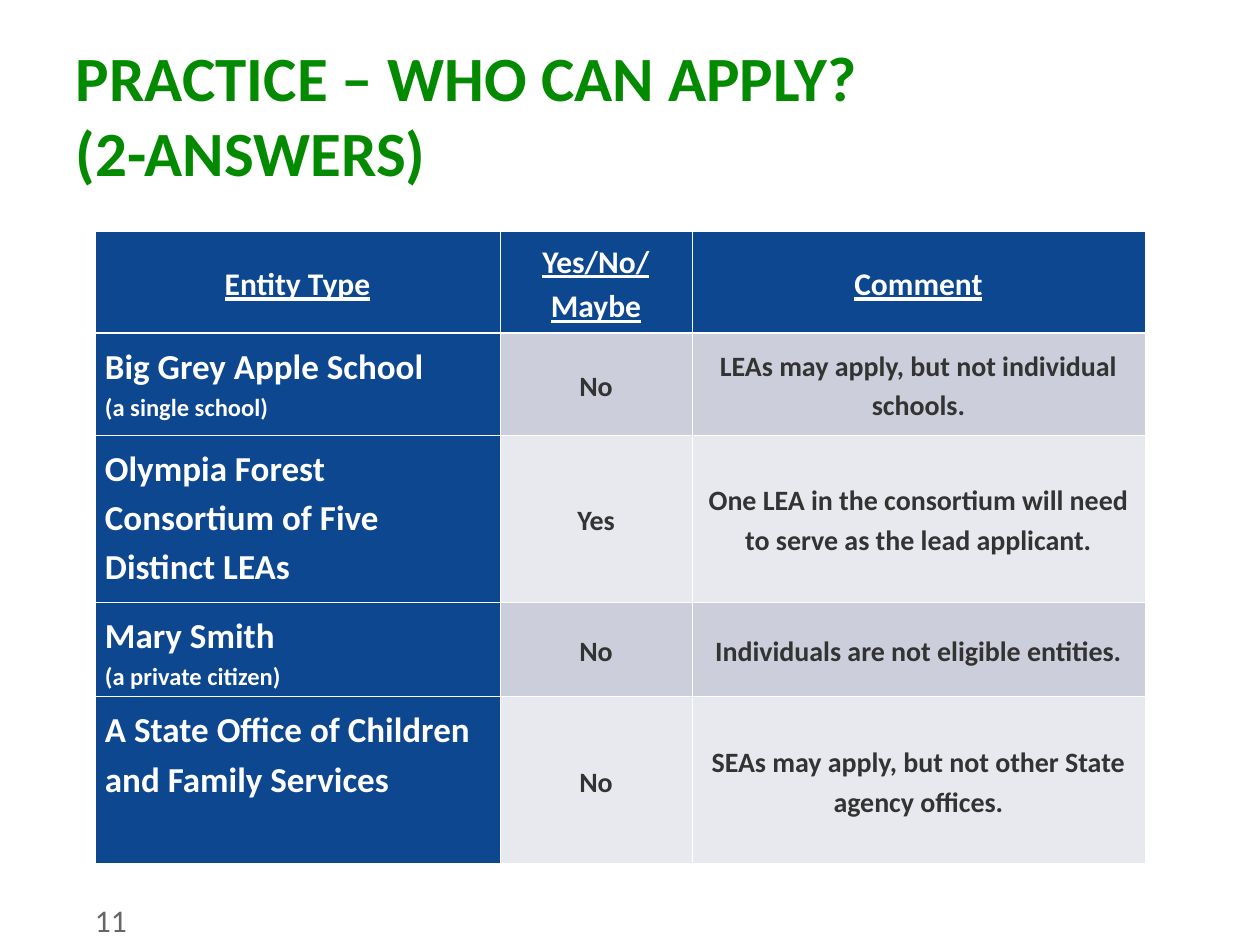
"""Build the slide on who can apply, with its table of answers."""
import dataclasses

import lxml.etree
import pptx
import pptx.dml.color
import pptx.enum.text
import pptx.oxml.ns
import pptx.util

PIXELS_PER_INCH = 126
ALIGN = pptx.enum.text.PP_ALIGN
ANCHOR = pptx.enum.text.MSO_ANCHOR


@dataclasses.dataclass(frozen=True)
class Theme:
    font: str = "Calibri"
    title_color: str = "038A00"
    number_color: str = "666666"
    blue: str = "0C4790"
    white: str = "FFFFFF"
    answer_color: str = "333333"
    bands: tuple[str, str] = ("CCCFDB", "E7E9EE")
    title_size: int = 36
    number_size: int = 18
    header_size: int = 18
    entity_size: int = 20
    detail_size: int = 14
    answer_size: int = 16
    thin_line: float = 0.45
    thick_line: float = 1.47


@dataclasses.dataclass(frozen=True)
class Box:
    left: int
    top: int
    width: int
    height: int


@dataclasses.dataclass(frozen=True)
class TextStyle:
    size: int
    color: str
    bold: bool = True
    underline: bool = False


@dataclasses.dataclass(frozen=True)
class Entity:
    name: str
    answer: str
    comment: str
    detail: str = ""


THEME = Theme()
TITLE = TextStyle(THEME.title_size, THEME.title_color)
NUMBER = TextStyle(THEME.number_size, THEME.number_color, bold=False)
HEADER = TextStyle(THEME.header_size, THEME.white, underline=True)
NAME = TextStyle(THEME.entity_size, THEME.white)
DETAIL = TextStyle(THEME.detail_size, THEME.white)
ANSWER = TextStyle(THEME.answer_size, THEME.answer_color)

COLUMN_WIDTHS = (405, 192, 453)
ROW_HEIGHTS = (102, 102, 167, 93, 167)
HEADERS = (("Entity Type",), ("Yes/No/", "Maybe"), ("Comment",))
ENTITIES = (
    Entity("Big Grey Apple School", "No",
           "LEAs may apply, but not individual schools.", "(a single school)"),
    Entity("Olympia Forest Consortium of Five Distinct LEAs", "Yes",
           "One LEA in the consortium will need to serve as the lead applicant."),
    Entity("Mary Smith", "No",
           "Individuals are not eligible entities.", "(a private citizen)"),
    Entity("A State Office of Children and Family Services", "No",
           "SEAs may apply, but not other State agency offices."),
)


def px(length: int) -> pptx.util.Emu:
    return pptx.util.Emu(round(length * pptx.util.Inches(1) / PIXELS_PER_INCH))


def rgb(color: str) -> pptx.dml.color.RGBColor:
    return pptx.dml.color.RGBColor.from_string(color)


def apply_format(target, values: dict) -> None:
    for name, value in values.items():
        setattr(target, name, value)


def write_lines(frame, lines: list[tuple[str, TextStyle]], paragraph_format: dict) -> None:
    for index, (text, style) in enumerate(lines):
        paragraph = frame.add_paragraph() if index else frame.paragraphs[0]
        paragraph.text = text
        apply_format(paragraph, paragraph_format)
        for run in paragraph.runs:
            apply_format(run.font, {
                "name": THEME.font,
                "size": pptx.util.Pt(style.size),
                "bold": style.bold,
                "underline": style.underline,
            })
            run.font.color.rgb = rgb(style.color)


def add_text(slide, box: Box, text: str, style: TextStyle, side_margin: int) -> None:
    shape = slide.shapes.add_textbox(*map(px, dataclasses.astuple(box)))
    apply_format(shape.text_frame, {
        "word_wrap": True,
        "margin_left": px(side_margin),
        "margin_right": px(side_margin),
        "vertical_anchor": ANCHOR.TOP,
    })
    write_lines(shape.text_frame, [(text, style)], {"alignment": ALIGN.LEFT})


def set_borders(cell, widths: dict[str, float]) -> None:
    properties = cell._tc.get_or_add_tcPr()
    qualified = pptx.oxml.ns.qn
    for index, (side, width) in enumerate(widths.items()):
        line = lxml.etree.Element(qualified(f"a:{side}"), w=str(pptx.util.Pt(width)))
        fill = lxml.etree.SubElement(line, qualified("a:solidFill"))
        lxml.etree.SubElement(fill, qualified("a:srgbClr"), val=THEME.white)
        properties.insert(index, line)


def fill_cell(cell, row: int, column: int, lines: list[tuple[str, TextStyle]]) -> None:
    is_name = row > 0 and column == 0
    apply_format(cell, {
        "margin_left": px(10),
        "margin_right": px(10),
        "vertical_anchor": ANCHOR.TOP if is_name else ANCHOR.MIDDLE,
    })
    write_lines(cell.text_frame, lines, {
        "alignment": ALIGN.LEFT if is_name else ALIGN.CENTER,
        "line_spacing": 1.15,
    })
    is_blue = row == 0 or column == 0
    cell.fill.solid()
    cell.fill.fore_color.rgb = rgb(THEME.blue if is_blue else THEME.bands[(row - 1) % 2])
    set_borders(cell, {
        "lnL": THEME.thin_line,
        "lnR": THEME.thin_line,
        "lnT": THEME.thick_line if row == 1 else THEME.thin_line,
        "lnB": THEME.thick_line if row == 0 else THEME.thin_line,
    })


def entity_lines(entity: Entity) -> list[list[tuple[str, TextStyle]]]:
    names = [(entity.name, NAME)]
    if entity.detail:
        names.append((entity.detail, DETAIL))
    return [names, [(entity.answer, ANSWER)], [(entity.comment, ANSWER)]]


def add_answer_table(slide, left: int, top: int) -> None:
    box = Box(left, top, sum(COLUMN_WIDTHS), sum(ROW_HEIGHTS))
    table = slide.shapes.add_table(
        len(ROW_HEIGHTS), len(COLUMN_WIDTHS), *map(px, dataclasses.astuple(box))
    ).table
    apply_format(table, {"first_row": True, "first_col": True, "horz_banding": True})
    for column, width in zip(table.columns, COLUMN_WIDTHS):
        column.width = px(width)
    for row, height in zip(table.rows, ROW_HEIGHTS):
        row.height = px(height)
    header = [[(text, HEADER) for text in texts] for texts in HEADERS]
    for row_index, cells in enumerate([header, *map(entity_lines, ENTITIES)]):
        for column_index, lines in enumerate(cells):
            fill_cell(table.cell(row_index, column_index), row_index, column_index, lines)


def main() -> None:
    presentation = pptx.Presentation()
    apply_format(presentation, {"slide_width": px(1260), "slide_height": px(945)})
    slide = presentation.slides.add_slide(presentation.slide_layouts[6])
    add_text(slide, Box(63, 32, 1134, 78), "PRACTICE – WHO CAN APPLY?\v(2-ANSWERS)", TITLE, 13)
    add_answer_table(slide, 95, 231)
    add_text(slide, Box(95, 895, 73, 50), "11", NUMBER, 0)
    presentation.save("out.pptx")


if __name__ == "__main__":
    main()
